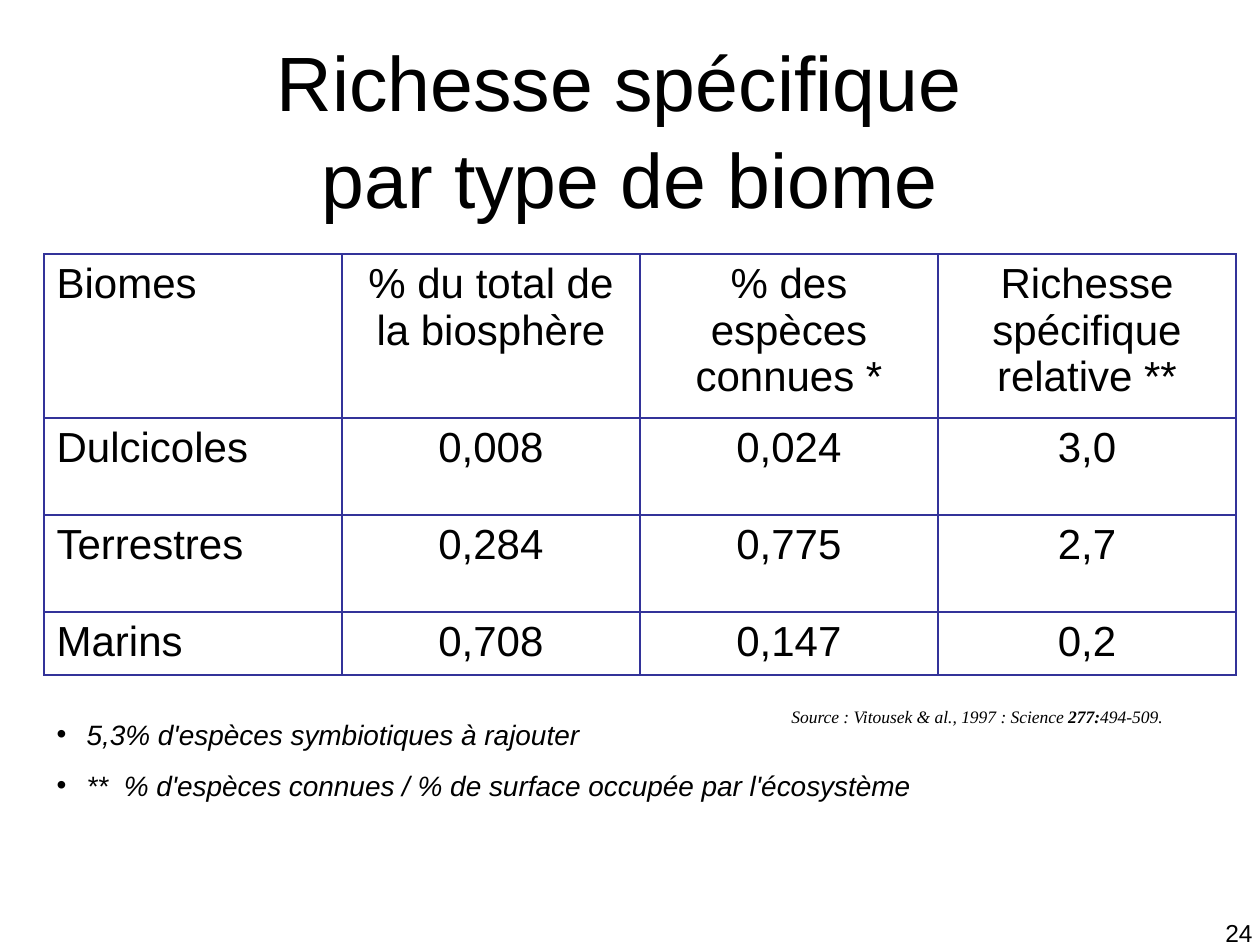
from typing import Any, NamedTuple

from lxml import etree
from pptx import Presentation
from pptx import util as u
from pptx.dml.color import RGBColor
from pptx.enum import text as t
from pptx.oxml import ns

PX = 914400 / 126
COLORS = {"text": "000000", "border": "333399"}


class Box(NamedTuple):
    left: int
    top: int
    width: int
    height: int


class Style(NamedTuple):
    size: int
    name: str = "Arial"
    italic: bool = False


TITLE, CELL, NOTE, NUMBER = Style(44), Style(24), Style(16, italic=True), Style(14)
SOURCE = Style(10, "Times New Roman", True)

TITLE_BOX = Box(164, 45, 932, 164)
TABLE_BOX = Box(44, 254, 1192, 421)
NOTES_BOX = Box(44, 711, 1171, 97)
SOURCE_BOX = Box(779, 700, 451, 34)
NUMBER_BOX = Box(971, 912, 294, 66)

ROW_HEIGHTS = [164, 97, 97, 63]
ROWS = [
    ["Biomes", "% du total de la biosphère", "% des espèces connues *",
     "Richesse spécifique relative **"],
    ["Dulcicoles", "0,008", "0,024", "3,0"],
    ["Terrestres", "0,284", "0,775", "2,7"],
    ["Marins", "0,708", "0,147", "0,2"],
]
NOTES = [
    "5,3% d'espèces symbiotiques à rajouter",
    "**  % d'espèces connues / % de surface occupée par l'écosystème",
]
SOURCE_RUNS = [("Source : Vitousek & al., 1997 : Science ", False),
               ("277:", True), ("494-509.", False)]


def px(length: int) -> int:
    return round(length * PX)


def set_all(target: Any, values: dict[str, Any]) -> None:
    for key, value in values.items():
        setattr(target, key, value)


def format_font(font: Any, style: Style, bold: bool = False) -> None:
    set_all(font, {"size": u.Pt(style.size), "name": style.name,
                   "italic": style.italic, "bold": bold})
    font.color.rgb = RGBColor.from_string(COLORS["text"])


def place(shape: Any, box: Box) -> None:
    set_all(shape, {key: px(value) for key, value in box._asdict().items()})


def set_frame(shape: Any, anchor: Any = t.MSO_ANCHOR.TOP) -> Any:
    frame = shape.text_frame
    set_all(frame, {"word_wrap": True, "auto_size": t.MSO_AUTO_SIZE.NONE,
                    "vertical_anchor": anchor})
    return frame


def add_text(slide: Any, box: Box, runs: list[tuple[str, bool]], style: Style,
             alignment: Any = t.PP_ALIGN.LEFT) -> None:
    shape = slide.shapes.add_textbox(*map(px, box))
    paragraph = set_frame(shape).paragraphs[0]
    paragraph.alignment = alignment
    for words, bold in runs:
        run = paragraph.add_run()
        run.text = words
        format_font(run.font, style, bold)


def fill_title(shape: Any) -> None:
    place(shape, TITLE_BOX)
    frame = set_frame(shape, t.MSO_ANCHOR.MIDDLE)
    frame.text = "Richesse spécifique \vpar type de biome"
    paragraph = frame.paragraphs[0]
    set_all(paragraph, {"alignment": t.PP_ALIGN.CENTER, "line_spacing": 1.05})
    format_font(paragraph.font, TITLE)
    for run in paragraph.runs:
        format_font(run.font, TITLE)


def fill_notes(shape: Any) -> None:
    place(shape, NOTES_BOX)
    frame = set_frame(shape)
    frame.text = "\n".join(NOTES)
    for index, paragraph in enumerate(frame.paragraphs):
        properties = paragraph._p.get_or_add_pPr()
        properties.set("marL", str(px(30)))
        properties.set("indent", str(px(-30)))
        etree.SubElement(properties, ns.qn("a:buChar")).set("char", "•")
        paragraph.space_before = u.Pt(10 if index else 0)
        format_font(paragraph.font, NOTE)
        format_font(paragraph.runs[0].font, NOTE)


def add_borders(cell: Any) -> None:
    properties = cell._tc.get_or_add_tcPr()
    for index, side in enumerate(("lnL", "lnR", "lnT", "lnB")):
        line = etree.Element(ns.qn(f"a:{side}"), w=str(u.Pt(1.08)))
        fill = etree.SubElement(line, ns.qn("a:solidFill"))
        etree.SubElement(fill, ns.qn("a:srgbClr")).set("val", COLORS["border"])
        properties.insert(index, line)


def add_biome_table(slide: Any) -> None:
    columns = len(ROWS[0])
    table = slide.shapes.add_table(len(ROWS), columns, *map(px, TABLE_BOX)).table
    set_all(table, {"first_row": False, "horz_banding": False})
    for column in table.columns:
        column.width = px(TABLE_BOX.width // columns)
    for row, height, values in zip(table.rows, ROW_HEIGHTS, ROWS):
        row.height = px(height)
        for index, (cell, value) in enumerate(zip(row.cells, values)):
            cell.text = value
            cell.fill.background()
            add_borders(cell)
            paragraph = cell.text_frame.paragraphs[0]
            paragraph.alignment = t.PP_ALIGN.CENTER if index else t.PP_ALIGN.LEFT
            format_font(paragraph.runs[0].font, CELL)


def main() -> None:
    presentation = Presentation()
    set_all(presentation, {"slide_width": px(1260), "slide_height": px(945)})
    slide = presentation.slides.add_slide(presentation.slide_layouts[1])

    # Title, table and its notes
    fill_title(slide.shapes.title)
    add_biome_table(slide)
    fill_notes(slide.placeholders[1])

    # Citation and slide number
    add_text(slide, SOURCE_BOX, SOURCE_RUNS, SOURCE)
    add_text(slide, NUMBER_BOX, [("24", False)], NUMBER, t.PP_ALIGN.RIGHT)

    presentation.save("out.pptx")


if __name__ == "__main__":
    main()
